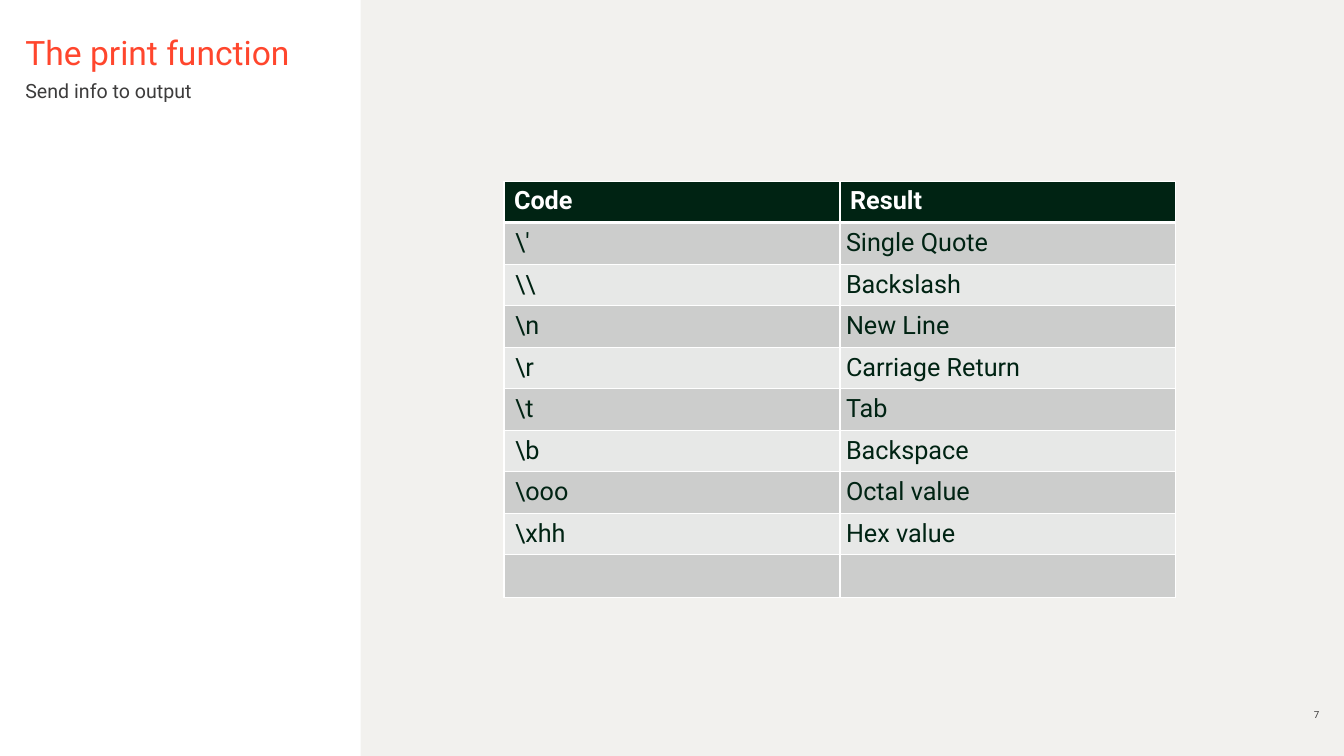
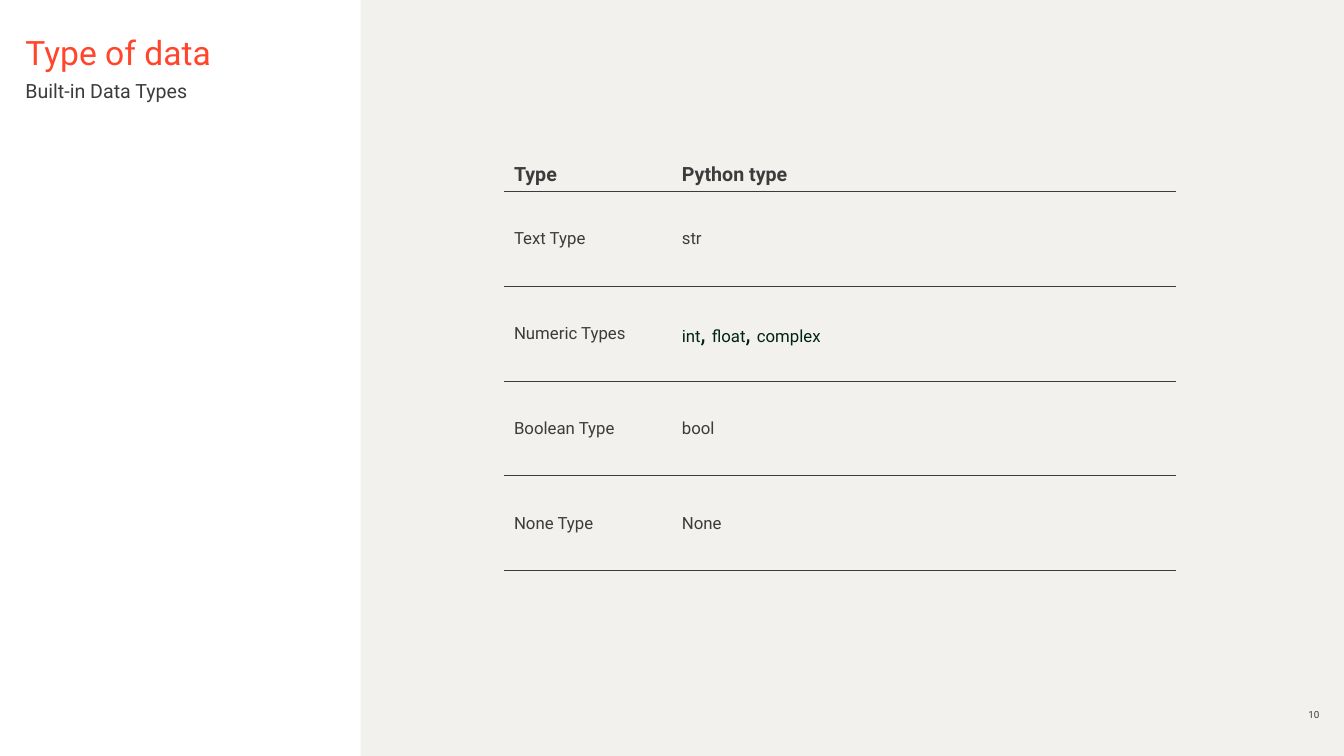
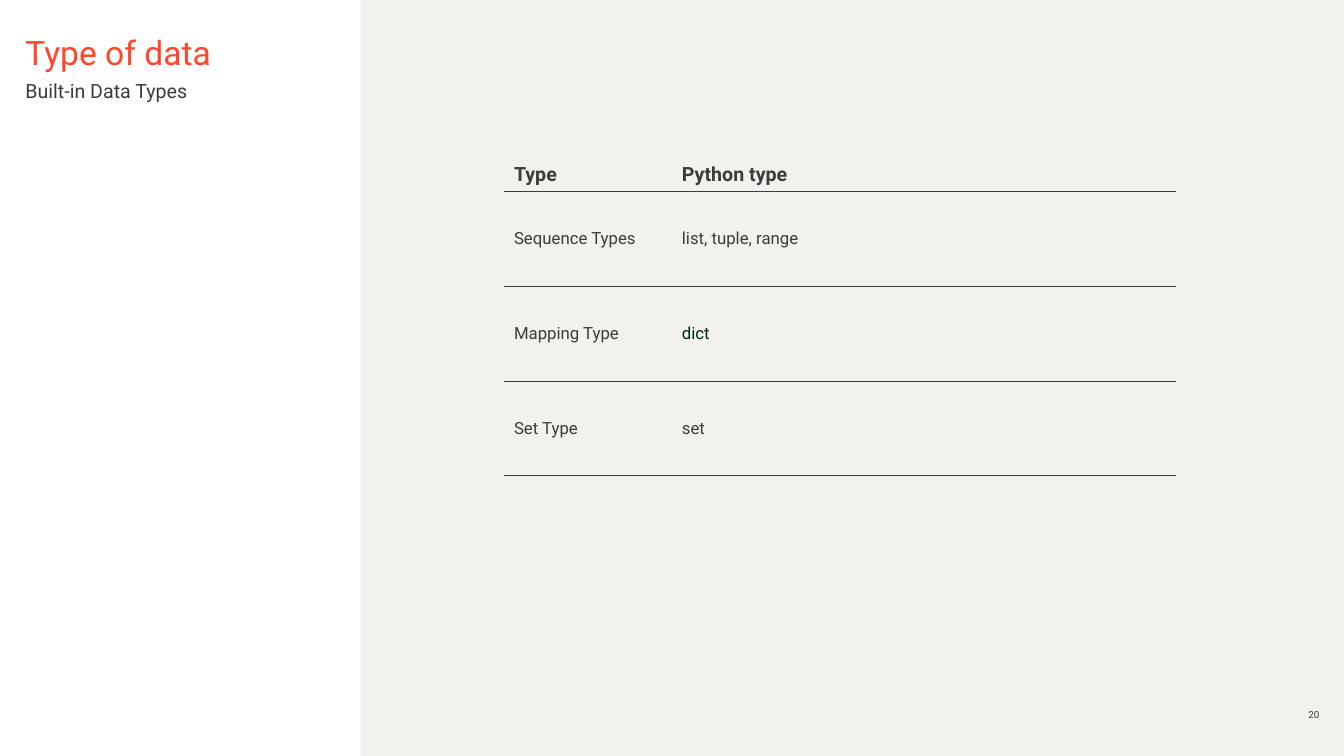
"""Build three Python course slides: escape codes and built-in data types."""
from pptx import Presentation
from pptx.dml.color import RGBColor
from pptx.enum.shapes import MSO_SHAPE
from pptx.enum.text import MSO_ANCHOR, MSO_AUTO_SIZE, PP_ALIGN
from pptx.oxml.ns import qn
from pptx.util import Cm, Pt
from lxml.etree import SubElement

COLORS = {
    "accent": "FF462D", "subtitle": "3D3C3C", "text": "3D3B3B", "dark": "002313",
    "white": "FFFFFF", "panel": "F2F1EE", "odd": "CCCDCC", "even": "E7E8E7",
}
FONT = "Roboto"
NO_GRID_STYLE = "{2D5ABB26-0587-4C30-8999-92F81FD0307C}"

CODES = [
    ("Code", "Result"),
    (r"\'", "Single Quote"),
    (r"\\", "Backslash"),
    (r"\n", "New Line"),
    (r"\r", "Carriage Return"),
    (r"\t", "Tab"),
    (r"\b", "Backspace"),
    (r"\ooo", "Octal value"),
    (r"\xhh", "Hex value"),
    ("", ""),
]
BASIC_TYPES = [
    ("Type", "Python type"),
    ("Text Type", "str"),
    ("Numeric Types", "int, float, complex"),
    ("Boolean Type", "bool"),
    ("None Type", "None"),
]
COLLECTION_TYPES = [
    ("Type", "Python type"),
    ("Sequence Types", "list, tuple, range"),
    ("Mapping Type", "dict"),
    ("Set Type", "set"),
]
DARK_CELLS = ("int, float, complex", "dict")
CODE_GRID = (4.57, 1.04, [8.47, 8.46])
TYPE_GRID = (2.43, 2.39, [4.23, 5.49, 2.97, 4.24])
PAGES = [
    ("The print function", "Send info to output", "7", CODES, CODE_GRID),
    ("Type of data", "Built-in Data Types", "10", BASIC_TYPES, TYPE_GRID),
    ("Type of data", "Built-in Data Types", "20", COLLECTION_TYPES, TYPE_GRID),
]


def style(tf, size, color, bold=False, align=PP_ALIGN.LEFT):
    """Format every run of a text frame."""
    for p in tf.paragraphs:
        p.alignment = align
        for r in p.runs:
            r.font.name = FONT
            r.font.size = Pt(size)
            r.font.bold = bold
            r.font.color.rgb = RGBColor.from_string(COLORS[color])


def border(cell, side, color, width):
    """Draw one side (L, R, T or B) of a table cell."""
    ln = SubElement(cell._tc.get_or_add_tcPr(), qn(f"a:ln{side}"), w=str(int(Pt(width))))
    fill = SubElement(ln, qn("a:solidFill"))
    SubElement(fill, qn("a:srgbClr"), val=COLORS[color])


prs = Presentation()
prs.slide_width, prs.slide_height = Cm(33.87), Cm(19.05)
layout = prs.slide_layouts[5]

for index, (title, subtitle, number, rows, (top, pitch, widths)) in enumerate(PAGES):
    s = prs.slides.add_slide(layout)
    if index == 0:
        panel = s.shapes.add_shape(MSO_SHAPE.RECTANGLE, Cm(9.09), 0, Cm(24.78), Cm(19.05))
        panel.shadow.inherit = False
        panel.fill.solid()
        panel.fill.fore_color.rgb = RGBColor.from_string(COLORS["panel"])
        panel.line.fill.background()
        layout.shapes._spTree.insert(2, panel._element)

    sp = s.shapes.title
    sp.left, sp.top, sp.width, sp.height = Cm(0.64), Cm(0.81), Cm(7.82), Cm(0.79)
    sub = s.shapes.add_textbox(Cm(0.64), Cm(1.98), Cm(7.82), Cm(0.86))
    num = s.shapes.add_textbox(Cm(32.54), Cm(17.55), Cm(0.71), Cm(0.61))
    for box, text, size, color, align, anchor in [
        (sp, title, 24, "accent", PP_ALIGN.LEFT, MSO_ANCHOR.TOP),
        (sub, subtitle, 14, "subtitle", PP_ALIGN.LEFT, MSO_ANCHOR.TOP),
        (num, number, 7, "text", PP_ALIGN.RIGHT, MSO_ANCHOR.BOTTOM),
    ]:
        tf = box.text_frame
        tf.text = text
        tf.word_wrap = True
        tf.auto_size = MSO_AUTO_SIZE.NONE
        tf.vertical_anchor = anchor
        tf.margin_left = tf.margin_top = tf.margin_right = tf.margin_bottom = 0
        style(tf, size, color, align=align)

    table = s.shapes.add_table(
        len(rows), len(widths), Cm(12.7), Cm(top), Cm(sum(widths)), Cm(pitch * len(rows))
    ).table
    table._tbl.tblPr.find(qn("a:tableStyleId")).text = NO_GRID_STYLE
    table.horz_banding = False
    for column, width in zip(table.columns, widths):
        column.width = Cm(width)

    for i, row in enumerate(rows):
        header = i == 0
        for j in range(len(widths)):
            cell = table.cell(i, j)
            tf = cell.text_frame
            text = row[j] if j < len(row) else ""
            if rows is CODES:
                tf.text = text
                style(tf, 18, "white" if header else "dark", header)
                if not header:
                    cell.margin_left = Cm(0.28 if j == 0 else 0.15)
                    cell.margin_top = cell.margin_right = cell.margin_bottom = Cm(0.15)
                for side in "LRT":
                    border(cell, side, "white", 3 if side == "T" and i == 1 else 1)
                border(cell, "B", "white", 3 if header else 1)
                cell.fill.solid()
                band = "dark" if header else "odd" if i % 2 else "even"
                cell.fill.fore_color.rgb = RGBColor.from_string(COLORS[band])
            else:
                tf.text = text
                cell.vertical_anchor = MSO_ANCHOR.BOTTOM if header else MSO_ANCHOR.MIDDLE
                if text == "int, float, complex":
                    p = tf.paragraphs[0]
                    p.text = ""
                    for part in ("int", ", ", "float", ", ", "complex"):
                        p.add_run().text = part
                style(tf, 14 if header else 12, "dark" if text in DARK_CELLS else "text", header)
                for r in tf.paragraphs[0].runs:
                    if r.text == ", ":
                        r.font.size = Pt(18)
                border(cell, "B", "text", 0.75)
                cell.fill.background()

prs.save("out.pptx")
